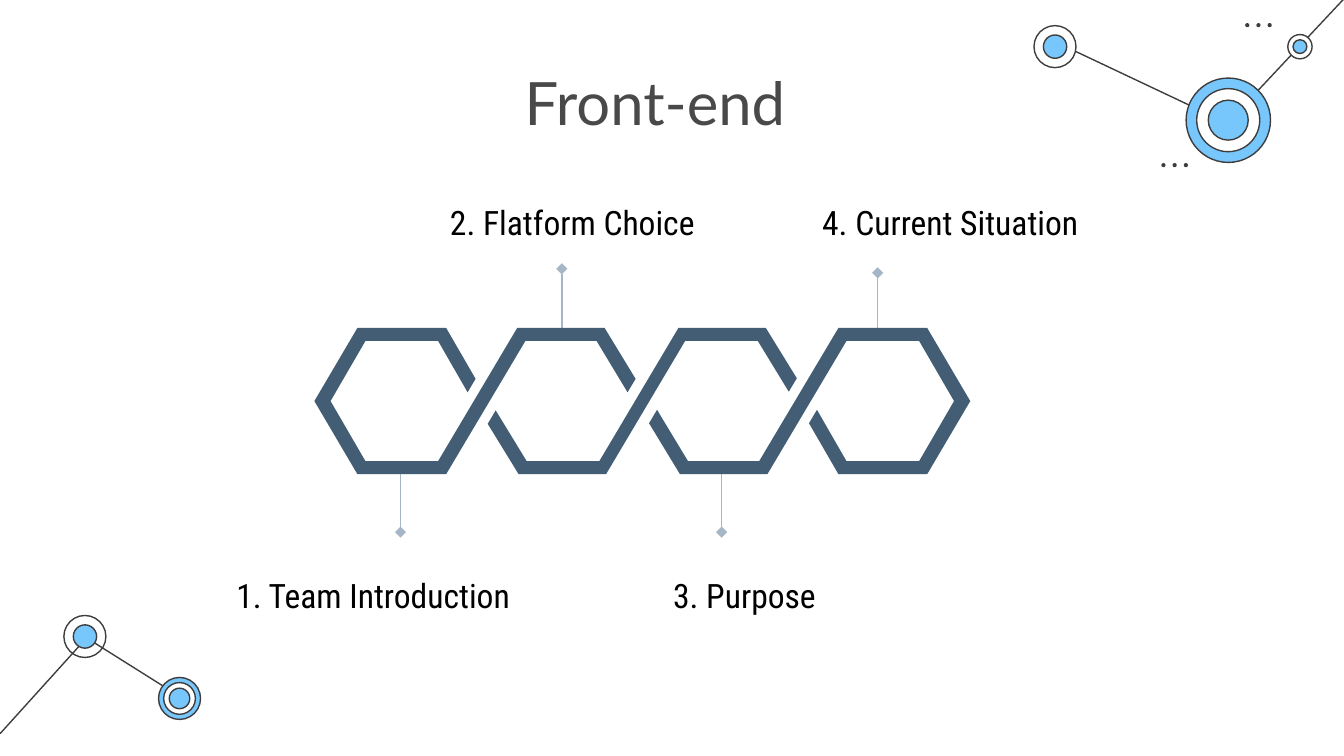
import pptx
import pptx.util
import pptx.dml.color
import pptx.enum.shapes
import pptx.enum.text
import pptx.oxml
import pptx.oxml.ns

Pt = pptx.util.Pt

INK = "3D3D3D"
SKY = "77C6FC"
WHITE = "FFFFFF"
STEEL = "435D74"
PALE = "A5B7C6"

CHAIN_CENTER = (344.1, 214.9)
CHAIN_END = [
    (-152.6, -39.2), (-175.7, 0), (-152.6, 39.2), (-105.1, 39.2),
    (-62.6, -32.2), (-24.5, -32.2), (-7.9, -4.7), (-3.6, -11.9),
    (-20.2, -39.2), (-67, -39.2), (-109.4, 32.2), (-148.3, 32.2),
    (-167, 0), (-148.3, -32.2), (-109.4, -32.2), (-93.6, -4.7),
    (-89.3, -11.9), (-105.1, -39.2),
]
CHAIN_MIDDLE_HALF = [
    (19.4, -39.2), (-23, 32.2), (-61.9, 32.2), (-78.5, 5), (-82.8, 12.2),
    (-66.2, 39.2),
]

NODES = [
    ((45.5, 341), [(22.5, None), (12.5, SKY)]),
    ((96.2, 374.2), [(22.5, SKY), (17, WHITE), (11, SKY)]),
    ((658, 64.4), [(45.2, SKY), (33.8, WHITE), (21.4, SKY)]),
    ((565.2, 25), [(22.5, WHITE), (12.5, SKY)]),
    ((696.4, 25), [(13, WHITE), (7.4, SKY)]),
]
LINKS = [
    ((46.8, 342), (99.4, 375.1)),
    ((0, 393.1), (46.8, 341.3)),
    ((658, 66.2), (566.6, 23)),
    ((720, -0.7), (658, 65.5)),
]
DOT_ROWS = [(668.2, 13.5), (623.3, 88.5)]

POINTERS = [
    (214.6, 249.1, 285.1),
    (386.6, 249.1, 285.1),
    (470.2, 181.4, 146.2),
    (301, 179.3, 144),
]
LABELS = [
    ("1. Team Introduction", 119.5, 304.7, 172.8),
    ("2. Flatform Choice", 234, 104.4, 160),
    ("3. Purpose", 353.5, 304.2, 178.6),
    ("4. Current Situation", 433.4, 104.7, 172),
]


def color(code):
    return pptx.dml.color.RGBColor.from_string(code)


def paint(shape, fill, line=None):
    shape.shadow.inherit = False
    if fill:
        shape.fill.solid()
        shape.fill.fore_color.rgb = color(fill)
    else:
        shape.fill.background()
    if line:
        shape.line.color.rgb = color(line)
        shape.line.width = Pt(0.75)
    else:
        shape.line.fill.background()


def add_disc(page, center, size, fill, line=None):
    x, y = center
    disc = page.shapes.add_shape(
        pptx.enum.shapes.MSO_SHAPE.OVAL,
        Pt(x - size / 2), Pt(y - size / 2), Pt(size), Pt(size))
    paint(disc, fill, line)


def add_node(page, center, rings):
    for size, fill in rings:
        add_disc(page, center, size, fill, INK)


def add_dots(page, x, y):
    for step in range(3):
        add_disc(page, (x + step * 6, y), 2.2, INK)


def add_line(page, start, end, line_color, diamond=False):
    line = page.shapes.add_connector(
        pptx.enum.shapes.MSO_CONNECTOR.STRAIGHT,
        Pt(start[0]), Pt(start[1]), Pt(end[0]), Pt(end[1]))
    line.line.color.rgb = color(line_color)
    line.line.width = Pt(0.75)
    if diamond:
        tail = pptx.oxml.parse_xml(
            f'<a:tailEnd {pptx.oxml.ns.nsdecls("a")} type="diamond"/>')
        line.line._get_or_add_ln().append(tail)
    effects = pptx.oxml.parse_xml(
        f'<a:effectLst {pptx.oxml.ns.nsdecls("a")}/>')
    line._element.spPr.append(effects)


def half_turn(points):
    return [(-x, -y) for x, y in points]


def add_chain_piece(page, points):
    center_x, center_y = CHAIN_CENTER
    corners = [(Pt(center_x + x), Pt(center_y + y)) for x, y in points]
    builder = page.shapes.build_freeform(*corners[0])
    builder.add_line_segments(corners[1:], close=True)
    paint(builder.convert_to_shape(), STEEL)


def add_span(para, text, font, size, text_color):
    span = para.add_run()
    span.text = text
    span.font.name = font
    span.font.size = Pt(size)
    span.font.color.rgb = color(text_color)


def set_title(page, text):
    title = page.shapes.title
    title.left, title.top = Pt(164.8), Pt(28.1)
    title.width, title.height = Pt(372.2), Pt(45.4)
    frame = title.text_frame
    frame.auto_size = pptx.enum.text.MSO_AUTO_SIZE.NONE
    frame.vertical_anchor = pptx.enum.text.MSO_ANCHOR.TOP
    frame.margin_left = frame.margin_right = Pt(7.2)
    frame.margin_top = frame.margin_bottom = Pt(7.2)
    para = frame.paragraphs[0]
    para.alignment = pptx.enum.text.PP_ALIGN.CENTER
    add_span(para, text, "Lato", 32, "494949")


def add_label(page, text, left, top, width):
    box = page.shapes.add_textbox(Pt(left), Pt(top), Pt(width), Pt(28.8))
    box.text_frame.word_wrap = True
    add_span(box.text_frame.paragraphs[0], text,
             "Roboto Condensed", 18, "000000")


def main():
    deck = pptx.Presentation()
    deck.slide_width, deck.slide_height = Pt(720), Pt(405)
    page = deck.slides.add_slide(deck.slide_layouts[5])

    for start, end in LINKS:
        add_line(page, start, end, INK)
    for center, rings in NODES:
        add_node(page, center, rings)
    for x, y in DOT_ROWS:
        add_dots(page, x, y)

    set_title(page, "Front-end")
    for x, start_y, end_y in POINTERS:
        add_line(page, (x, start_y), (x, end_y), PALE, diamond=True)
    add_chain_piece(page, CHAIN_END)
    add_chain_piece(page, half_turn(CHAIN_END))
    add_chain_piece(page, CHAIN_MIDDLE_HALF + half_turn(CHAIN_MIDDLE_HALF))
    for label in LABELS:
        add_label(page, *label)

    deck.save("out.pptx")


if __name__ == "__main__":
    main()
